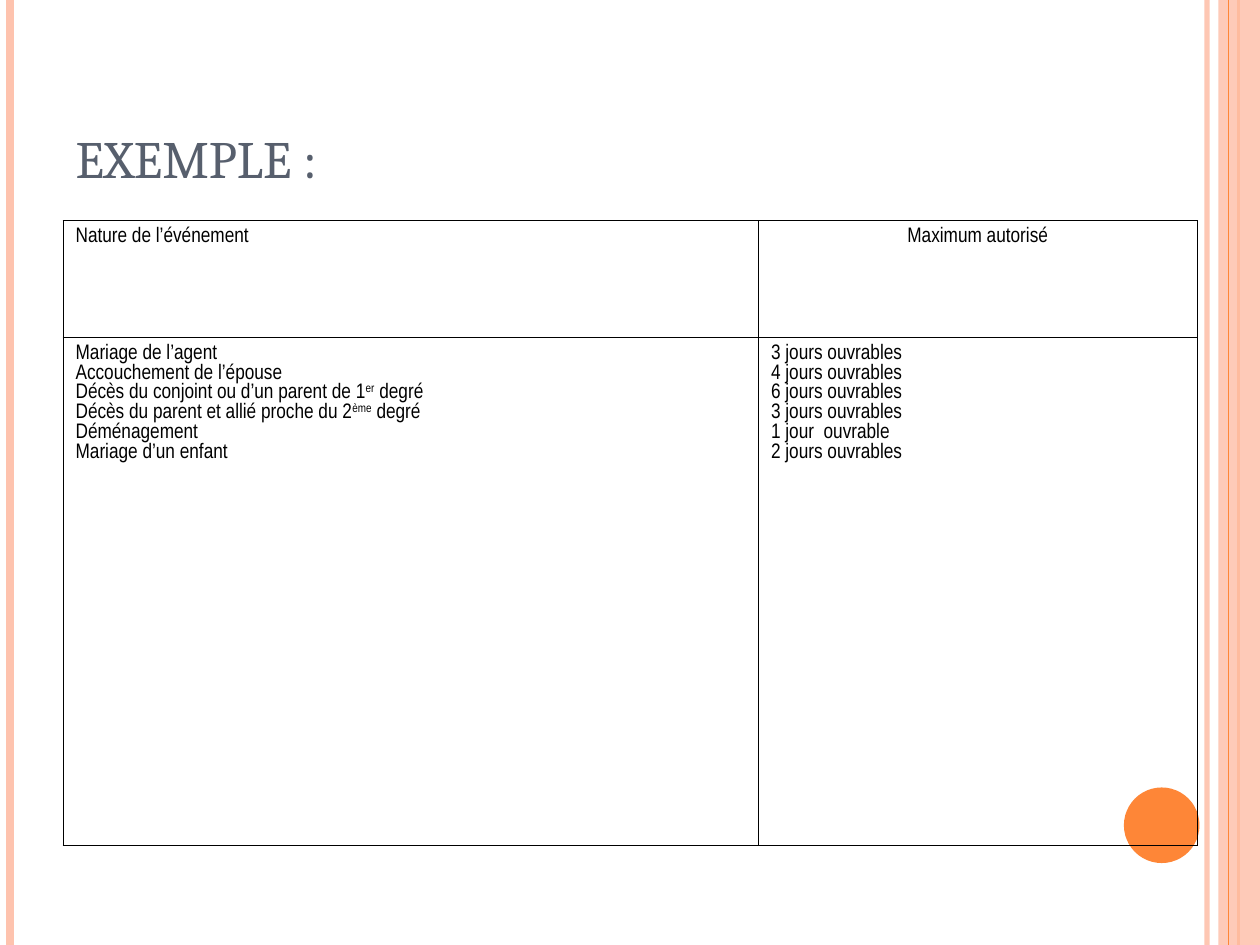
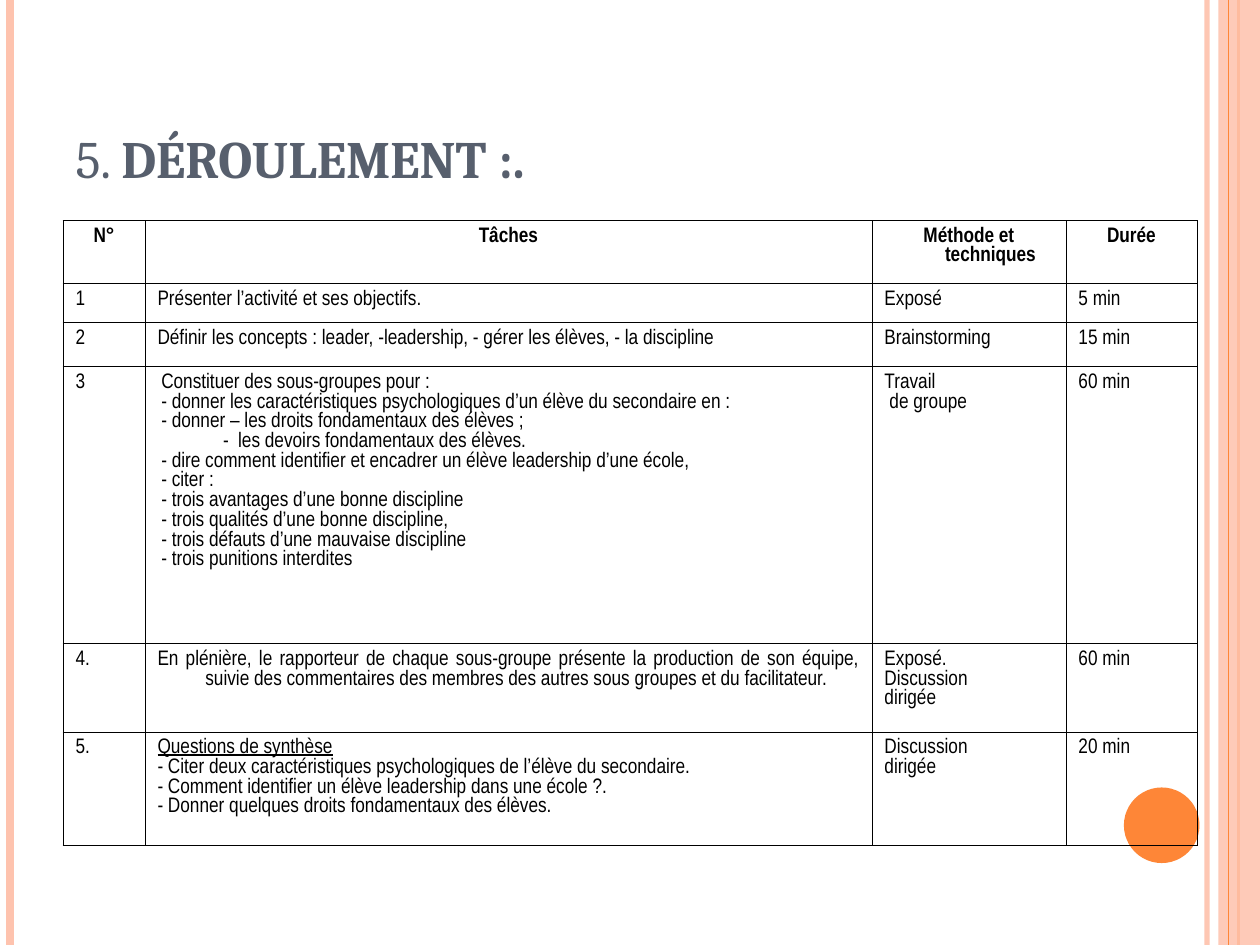
from lxml import etree
from pptx import Presentation, util as u
from pptx.dml.color import RGBColor
from pptx.enum import shapes, text
from pptx.oxml.ns import qn

COLS, ROWS = 10, 7.5
COLOURS = {"white": "FFFFFF", "peach": "FEC3AE", "orange": "FE8637",
           "slate": "575F6D", "black": "000000"}
TITLE_FONT = {"name": "Cambria", "size": u.Pt(30)}
CELL_FONT = {"name": "Arial Narrow", "size": u.Pt(12)}
TITLE_BOX = (0.5, 0.3, 9, 1.25)
TABLE_CORNER = (0.5, 1.75)
HANG = (0.38, -0.38)
CENTER, JUSTIFY, LEFT = (text.PP_ALIGN.CENTER, text.PP_ALIGN.JUSTIFY,
                         text.PP_ALIGN.LEFT)


def grid(count):
    """Length of a number of grid columns or rows, one inch each."""
    return u.Inches(count)


def colour(name):
    return RGBColor.from_string(COLOURS[name])


def set_all(target, values):
    for name, value in values.items():
        setattr(target, name, value)


def set_alpha(element, percent):
    rgb = element.find(".//" + qn("a:srgbClr"))
    etree.SubElement(rgb, qn("a:alpha"), val=str(percent * 1000))


def write_paragraph(paragraph, runs, font, ink, align, indent):
    """Runs are a string or a list of (string, font values) pairs."""
    paragraph.alignment = align
    margin, first = indent
    props = paragraph._p.get_or_add_pPr()
    props.set("marL", str(grid(margin)))
    props.set("indent", str(grid(first)))
    for words, extra in [(runs, {})] if isinstance(runs, str) else runs:
        run = paragraph.add_run()
        run.text = words
        values = {**font, **extra}
        raised = values.pop("raised", None)
        set_all(run.font, values)
        run.font.color.rgb = colour(ink)
        if raised:
            run._r.get_or_add_rPr().set("baseline", str(raised * 1000))


def add_stripe(slide, x, ink, width, alpha=None):
    stripe = slide.shapes.add_connector(
        shapes.MSO_CONNECTOR.STRAIGHT, grid(x), 0, grid(x), grid(ROWS))
    stripe.line.color.rgb = colour(ink)
    stripe.line.width = u.Pt(width)
    props = stripe._element.spPr
    if alpha:
        set_alpha(props, alpha)
    etree.SubElement(props, qn("a:effectLst"))
    return stripe


def add_solid(slide, preset, box, ink, alpha=None):
    solid = slide.shapes.add_shape(preset, *map(grid, box))
    solid.shadow.inherit = False
    solid.fill.solid()
    solid.fill.fore_color.rgb = colour(ink)
    solid.line.fill.background()
    if alpha:
        set_alpha(solid._element.spPr, alpha)
    return solid


def decorate_layout(layout, slide):
    """Draw the bands on a slide, then move them behind the layout's parts."""
    preset = shapes.MSO_SHAPE
    bands = [
        add_stripe(slide, 9.58, "peach", 3, 93),
        add_stripe(slide, 0.08, "peach", 4.5),
        add_stripe(slide, 9.83, "orange", 1.5),
        add_solid(slide, preset.RECTANGLE, (9.67, 0, 0.33, ROWS), "peach", 87),
        add_stripe(slide, 9.75, "orange", 0.75),
        add_solid(slide, preset.OVAL, (8.92, 6.25, 0.6, 0.6), "orange"),
    ]
    for place, band in enumerate(bands, start=2):
        layout.shapes._spTree.insert(place, band._element)
    left, top, width, height = map(grid, TITLE_BOX)
    title = layout.placeholders[0]
    set_all(title, {"left": left, "top": top, "width": width, "height": height})
    title.text_frame.vertical_anchor = text.MSO_ANCHOR.BOTTOM


def fill_title(slide, runs, indent):
    frame = slide.shapes.title.text_frame
    frame.vertical_anchor = text.MSO_ANCHOR.BOTTOM
    write_paragraph(frame.paragraphs[0], runs, TITLE_FONT, "slate", LEFT, indent)


def add_borders(cell):
    props = cell._tc.get_or_add_tcPr()
    for side in ("lnL", "lnR", "lnT", "lnB"):
        line = etree.SubElement(props, qn("a:" + side), w=str(u.Pt(0.45)))
        paint = etree.SubElement(line, qn("a:solidFill"))
        etree.SubElement(paint, qn("a:srgbClr"), val=COLOURS["black"])


def fill_cell(cell, lines, align, font, fill):
    """Lines are runs, or (runs, indent) pairs where the indent differs."""
    add_borders(cell)
    if fill:
        cell.fill.solid()
        cell.fill.fore_color.rgb = colour(fill)
    else:
        cell.fill.background()
    frame = cell.text_frame
    for number, line in enumerate([lines] if isinstance(lines, str) else lines):
        paragraph = frame.add_paragraph() if number else frame.paragraphs[0]
        runs, indent = line if isinstance(line, tuple) else (line, HANG)
        write_paragraph(paragraph, runs, font, "black", align, indent)


def add_grid_table(slide, widths, heights, content, head):
    """Head gives the alignments, the font values and the fill of the top row."""
    left, top = TABLE_CORNER
    box = map(grid, (left, top, sum(widths), sum(heights)))
    table = slide.shapes.add_table(len(heights), len(widths), *box).table
    set_all(table, {"first_row": False, "horz_banding": False})
    for column, width in zip(table.columns, widths):
        column.width = grid(width)
    for row, height in zip(table.rows, heights):
        row.height = grid(height)
    aligns, head_font, head_fill = head
    for r, row in enumerate(content):
        for c, lines in enumerate(row):
            cell = table.cell(r, c)
            if r == 0:
                fill_cell(cell, lines, aligns[c], {**CELL_FONT, **head_font}, head_fill)
            else:
                fill_cell(cell, lines, JUSTIFY, CELL_FONT, None)


def degree(start, ending):
    return [(start, {}), (ending, {"raised": 30}), (" degré", {})]


def build_leave_slide(slide):
    fill_title(slide, "EXEMPLE :", (0, 0))
    events = [
        "Mariage de l’agent",
        "Accouchement de l’épouse",
        degree("Décès du conjoint ou d’un parent de 1", "er"),
        degree("Décès du parent et allié proche du 2", "ème"),
        "Déménagement",
        "Mariage d’un enfant",
    ]
    limits = ["3 jours ouvrables", "4 jours ouvrables", "6 jours ouvrables",
              "3 jours ouvrables", "1 jour  ouvrable", "2 jours ouvrables"]
    add_grid_table(slide, [5.52, 3.48], [0.93, 4.03],
                   [["Nature de l’événement", "Maximum autorisé"], [events, limits]],
                   ([LEFT, CENTER], {}, None))


def build_session_slide(slide):
    fill_title(slide, [("5. ", {}), ("DÉROULEMENT :.", {"bold": True})],
               (0.92, -0.92))
    group_tasks = [(task, (0.38, -0.35)) for task in (
        "Constituer des sous-groupes pour :",
        "- donner les caractéristiques psychologiques d’un élève du secondaire en :",
        "- donner – les droits fondamentaux des élèves ;",
        "- dire comment identifier et encadrer un élève leadership d’une école,",
        "- citer :",
        "- trois avantages d’une bonne discipline",
        "- trois qualités d’une bonne discipline,",
        "- trois défauts d’une mauvaise discipline",
        "- trois punitions interdites",
    )]
    group_tasks.insert(3, ("-\tles devoirs fondamentaux des élèves.", (0.64, -0.12)))
    review_tasks = [
        [("Questions de synthèse", {"underline": True})],
        "- Citer deux caractéristiques psychologiques de l’élève du secondaire.",
        "- Comment identifier un élève leadership dans une école ?.",
        "- Donner quelques droits fondamentaux des élèves.",
    ]
    content = [
        ["N°", "Tâches", "Méthode et techniques ", "Durée"],
        ["1", "Présenter l’activité et ses objectifs.", "Exposé", "5 min"],
        ["2", "Définir les concepts : leader, -leadership, - gérer les élèves, "
              "- la discipline", "Brainstorming", "15 min"],
        ["3", group_tasks, ["Travail", ("de groupe", (0.38, -0.34))], "60 min"],
        ["4.", "En plénière, le rapporteur de chaque sous-groupe présente la "
               "production de son équipe, suivie des commentaires des membres des "
               "autres sous groupes et du facilitateur.",
         ["Exposé.", "Discussion", "dirigée"], "60 min"],
        ["5.", review_tasks, ["Discussion", "dirigée"], "20 min"],
    ]
    add_grid_table(slide, [0.65, 5.77, 1.54, 1.04], [0.5, 0.31, 0.35, 2.2, 0.7, 0.9],
                   content, ([CENTER] * 4, {"bold": True}, "white"))


def main():
    deck = Presentation()
    set_all(deck, {"slide_width": grid(COLS), "slide_height": grid(ROWS)})
    layout = deck.slide_layouts[5]
    leave, session = (deck.slides.add_slide(layout) for _ in range(2))
    decorate_layout(layout, leave)
    build_leave_slide(leave)
    build_session_slide(session)
    deck.save("out.pptx")


if __name__ == "__main__":
    main()
